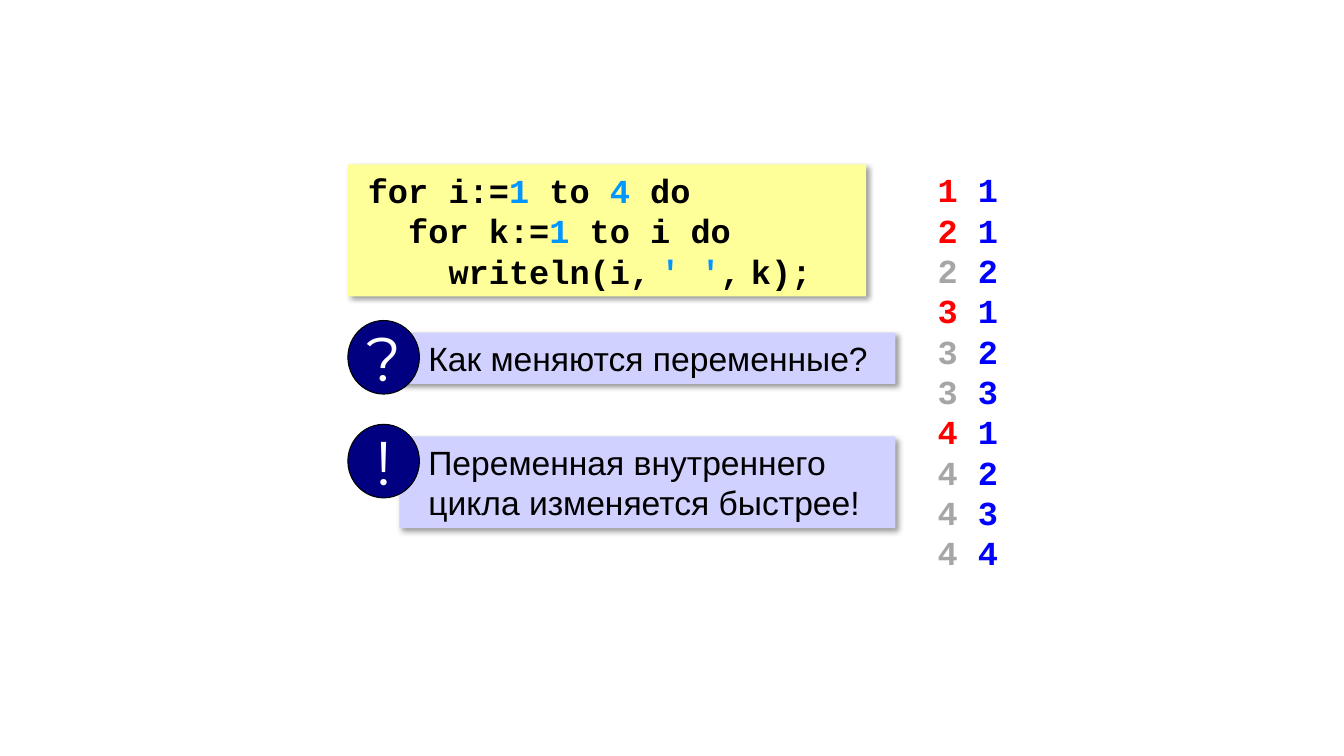
from dataclasses import dataclass

from lxml import etree
from pptx import Presentation, util as u
from pptx.dml.color import RGBColor
from pptx.enum import shapes, text
from pptx.oxml import ns

HUES = {
    "black": "000000", "white": "FFFFFF", "code": "FFFF99", "note": "D1D1FF",
    "badge": "000080", "value": "0095FF", "new": "FF0000", "same": "A6A6A6",
    "inner": "0000FF",
}
MONO, SANS, ROUND = "Courier New", "Arial", "Montserrat"


@dataclass
class Run:
    text: str
    hue: str = "black"
    size: int = 24


@dataclass
class Note:
    top: float
    high: float
    sign: str
    text: str


CODE = [
    [Run("for i:="), Run("1 ", "value"), Run("to "), Run("4", "value"), Run(" do")],
    [Run("  for k:="), Run("1 ", "value"), Run("to i do")],
    # half-width gaps after the commas
    [Run("    writeln(i,"), Run(" ", size=12), Run("' '", "value"), Run(","),
     Run(" ", size=12), Run("k);")],
]
NOTES = [
    Note(3.3, 0.51, "?", "Как меняются переменные?"),
    Note(4.33, 0.91, "!", "Переменная внутреннего\vцикла изменяется быстрее!"),
]


def tint(hue: str) -> RGBColor:
    return RGBColor.from_string(HUES[hue])


def style(font, name: str, size: int, hue: str = "black", bold: bool = False) -> None:
    font.name, font.size, font.bold = name, u.Pt(size), bold
    font.color.rgb = tint(hue)


def shade(shape) -> None:
    """Give the shape a soft shadow to the lower right."""
    list_ = etree.SubElement(shape._element.spPr, ns.qn("a:effectLst"))
    drop = etree.SubElement(list_, ns.qn("a:outerShdw"), blurRad=str(u.Pt(4)),
                            dist=str(u.Pt(3)), dir=str(45 * 60000),
                            algn="tl", rotWithShape="0")
    hue = etree.SubElement(drop, ns.qn("a:srgbClr"), val=HUES["black"])
    etree.SubElement(hue, ns.qn("a:alpha"), val="40000")


def add_box(home, kind, left: float, top: float, wide: float, high: float, hue: str):
    box = home.add_shape(kind, *map(u.Inches, (left, top, wide, high)))
    box.fill.solid()
    box.fill.fore_color.rgb = tint(hue)
    box.line.fill.background()
    return box


def add_rect(home, left: float, top: float, wide: float, high: float, hue: str):
    box = add_box(home, shapes.MSO_SHAPE.RECTANGLE, left, top, wide, high, hue)
    shade(box)
    box.text_frame.word_wrap = True
    box.text_frame.auto_size = text.MSO_AUTO_SIZE.SHAPE_TO_FIT_TEXT
    return box


def write(frame, lines: list[list[Run]], dent: float = 0) -> None:
    """Fill a frame with bold monospaced lines of coloured runs."""
    for at, line in enumerate(lines):
        para = frame.add_paragraph() if at else frame.paragraphs[0]
        para.alignment = text.PP_ALIGN.LEFT
        if dent:
            para._p.get_or_add_pPr().set("indent", str(u.Inches(dent)))
        para.font.name, para.font.bold = MONO, True
        for part in line:
            run = para.add_run()
            run.text = part.text
            style(run.font, MONO, part.size, part.hue, True)


def add_note(home, note: Note) -> None:
    group = home.add_group_shape().shapes
    # Text panel
    panel = add_rect(group, 3.96, note.top, 4.92, note.high, "note")
    panel.text_frame.vertical_anchor = text.MSO_ANCHOR.TOP
    para = panel.text_frame.paragraphs[0]
    para.text = note.text
    para.alignment = text.PP_ALIGN.LEFT
    para._p.get_or_add_pPr().set("marL", str(u.Inches(0.19)))
    style(para.font, SANS, 24)
    # Round badge
    badge = add_box(group, shapes.MSO_SHAPE.OVAL, 3.45, note.top - 0.12, 0.71, 0.73,
                    "badge")
    badge.shadow.inherit = False
    badge.line.color.rgb = tint("black")
    badge.line.width = u.Pt(0.75)
    frame = badge.text_frame
    frame.word_wrap = False
    frame.vertical_anchor = text.MSO_ANCHOR.MIDDLE
    para = frame.paragraphs[0]
    para.text = note.sign
    para.alignment = text.PP_ALIGN.CENTER
    style(para.font, ROUND, 44, "white")


def main() -> None:
    deck = Presentation()
    deck.slide_width, deck.slide_height = u.Inches(13.33), u.Inches(7.5)
    home = deck.slides.add_slide(deck.slide_layouts[6]).shapes

    # Program
    code = add_rect(home, 3.45, 1.63, 5.14, 1.31, "code")
    code.text_frame.vertical_anchor = text.MSO_ANCHOR.MIDDLE
    write(code.text_frame, CODE, 0.1)

    # Question and answer
    for note in NOTES:
        add_note(home, note)

    # Output: the outer value is red whenever it changes
    box = home.add_textbox(*map(u.Inches, (9.2, 1.63, 1.01, 4.14)))
    box.text_frame.word_wrap = False
    box.text_frame.auto_size = text.MSO_AUTO_SIZE.SHAPE_TO_FIT_TEXT
    write(box.text_frame, [
        [Run(f"{i} ", "new" if k == 1 else "same"), Run(str(k), "inner")]
        for i in range(1, 5) for k in range(1, i + 1)
    ])

    deck.save("out.pptx")


if __name__ == "__main__":
    main()
